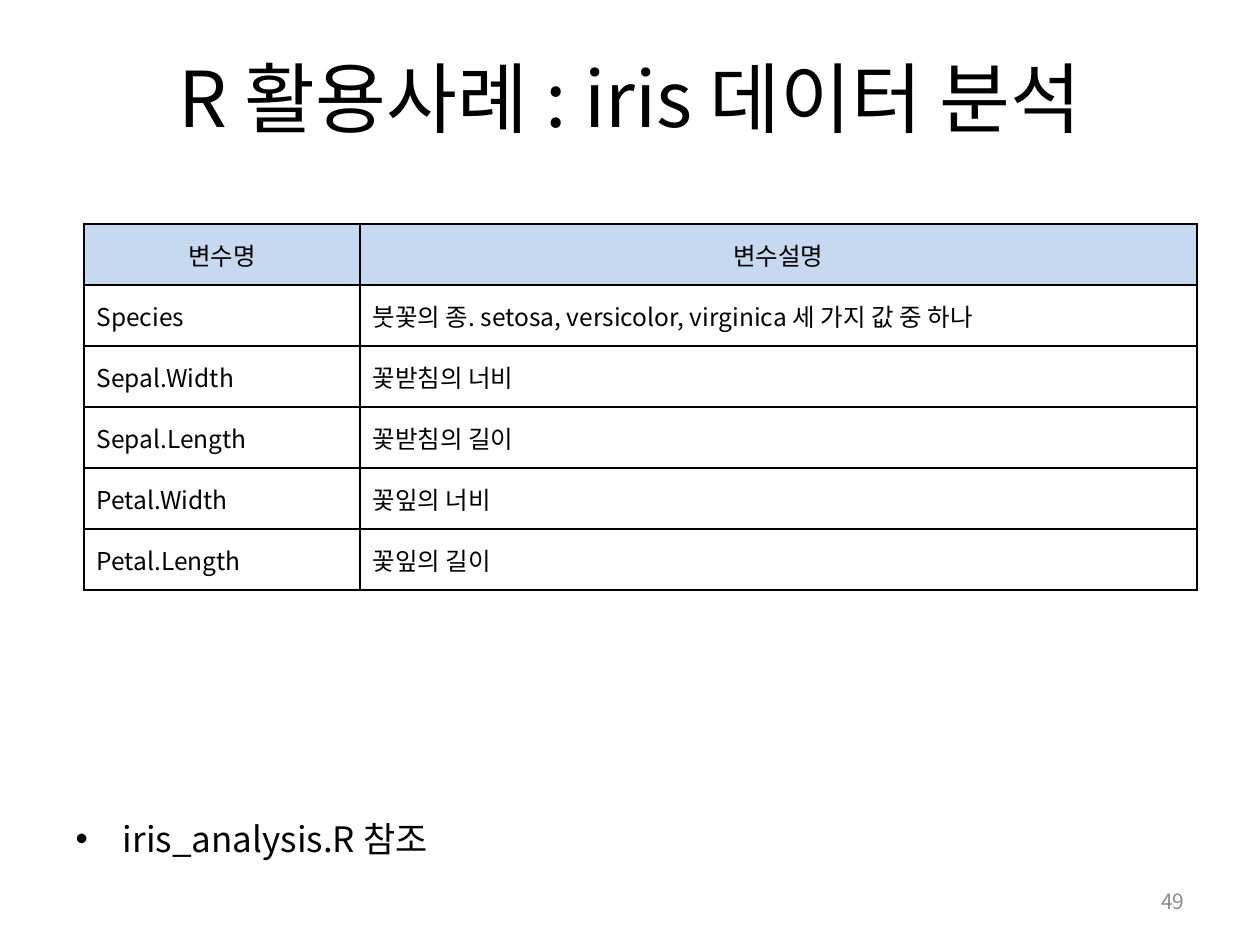
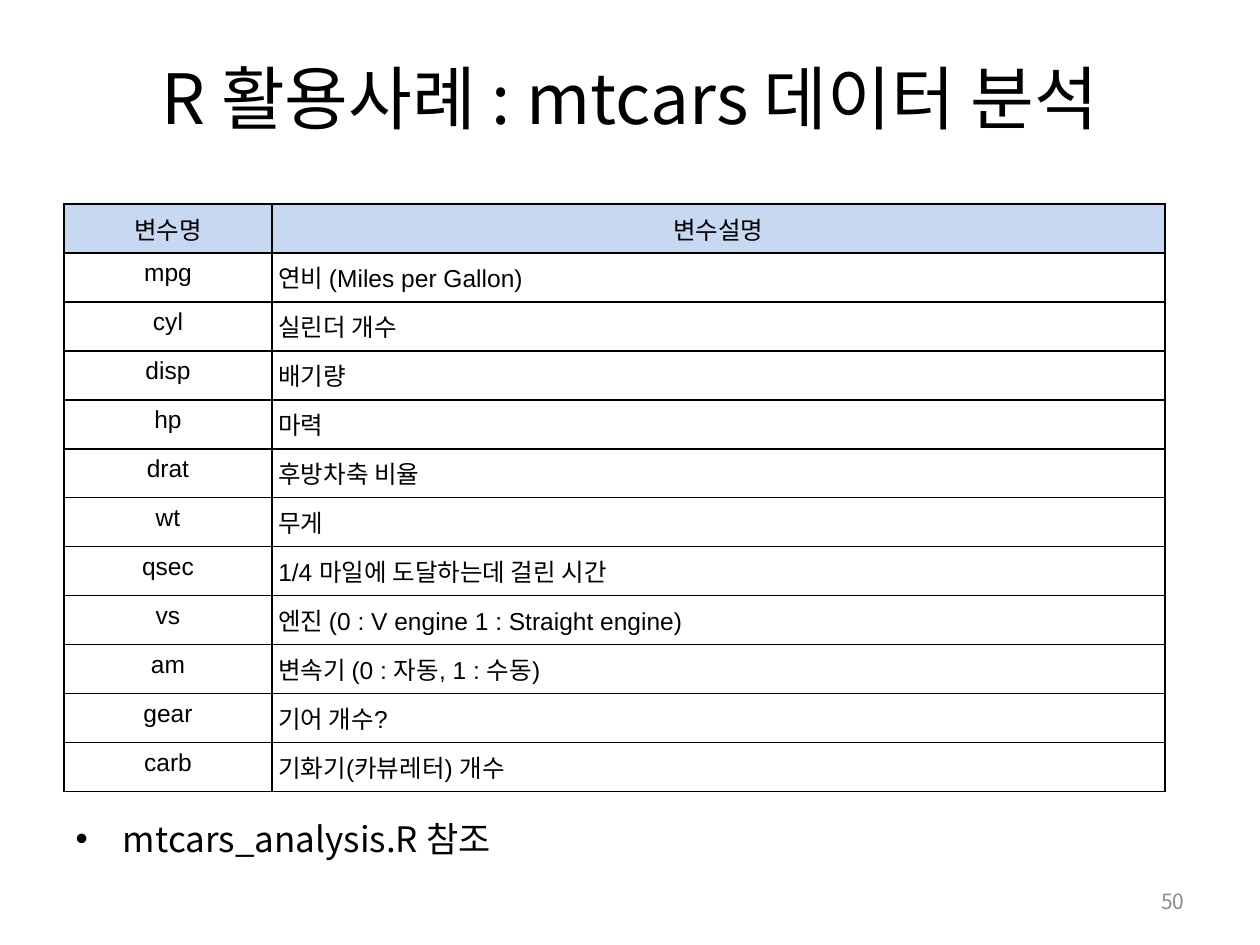
from lxml import etree
from pptx import Presentation
from pptx import util as u
from pptx.dml.color import RGBColor
from pptx.enum import text as t
from pptx.oxml.ns import qn

PX = 914400 / 126
BLACK = RGBColor(0x00, 0x00, 0x00)
GRAY = RGBColor(0x8C, 0x8C, 0x8C)
BLUE = RGBColor(0xC6, 0xD9, 0xF1)
SANS = "Noto Sans CJK KR"
LEFT, MID, RIGHT, JUST = (t.PP_ALIGN.LEFT, t.PP_ALIGN.CENTER,
                          t.PP_ALIGN.RIGHT, t.PP_ALIGN.JUSTIFY)
TOP, CENTER, BOTTOM = (t.MSO_ANCHOR.TOP, t.MSO_ANCHOR.MIDDLE,
                       t.MSO_ANCHOR.BOTTOM)

TITLE_BOX = (63, 38, 1134, 117)
NOTE_BOX = (63, 790, 1134, 69)
PAGE_BOX = (903, 876, 294, 50)

HEAD = ("변수명", "변수설명")
IRIS = [
    ("Species", "붓꽃의 종. setosa, versicolor, virginica 세 가지 값 중 하나"),
    ("Sepal.Width", "꽃받침의 너비"),
    ("Sepal.Length", "꽃받침의 길이"),
    ("Petal.Width", "꽃잎의 너비"),
    ("Petal.Length", "꽃잎의 길이"),
]
CARS = [
    ("mpg", "연비 (Miles per Gallon)"),
    ("cyl", "실린더 개수"),
    ("disp", "배기량"),
    ("hp", "마력"),
    ("drat", "후방차축 비율"),
    ("wt", "무게"),
    ("qsec", "1/4 마일에 도달하는데 걸린 시간"),
    ("vs", "엔진 (0 : V engine 1 : Straight engine)"),
    ("am", "변속기 (0 : 자동, 1 : 수동)"),
    ("gear", "기어 개수?"),
    ("carb", "기화기(카뷰레터) 개수"),
]


def px(n):
    return u.Emu(round(n * PX))


def place(shape, box):
    shape.left, shape.top, shape.width, shape.height = map(px, box)


def write(frame, words, size, align, font=SANS, color=BLACK):
    """Set one paragraph, with Korean glyphs always in the sans font."""
    frame.text = words
    para = frame.paragraphs[0]
    para.alignment = align
    for run in para.runs:
        run.font.size = u.Pt(size)
        run.font.name = font
        run.font.color.rgb = color
        east = etree.SubElement(run.font._element, qn("a:ea"))
        east.set("typeface", SANS)
    return para


def rule(cell):
    """Draw a thin black line on all four sides of a cell."""
    props = cell._tc.get_or_add_tcPr()
    for side in ("lnL", "lnR", "lnT", "lnB"):
        line = etree.SubElement(props, qn("a:" + side), w=str(u.Pt(1)))
        fill = etree.SubElement(line, qn("a:solidFill"))
        etree.SubElement(fill, qn("a:srgbClr"), val=str(BLACK))


def add_title(slide, words, size):
    shape = slide.shapes.title
    place(shape, TITLE_BOX)
    shape.text_frame.vertical_anchor = CENTER
    write(shape.text_frame, words, size, MID)


def add_note(slide, words):
    shape = slide.placeholders[1]
    place(shape, NOTE_BOX)
    shape.text_frame.auto_size = t.MSO_AUTO_SIZE.NONE
    para = write(shape.text_frame, words, 20, LEFT)
    para.line_spacing = 1.5


def add_page(slide, number):
    frame = slide.shapes.add_textbox(*map(px, PAGE_BOX)).text_frame
    frame.word_wrap = True
    frame.vertical_anchor = CENTER
    write(frame, str(number), 12, RIGHT, color=GRAY)


def add_grid(slide, spot, cols, step, rows, font, head, body, aligns, pad):
    """Place a table at spot; head and body are the anchors of its rows."""
    lines = [HEAD] + rows
    size = (sum(cols), step * len(lines))
    grid = slide.shapes.add_table(len(lines), len(cols),
                                  *map(px, spot + size)).table
    grid.first_row = grid.horz_banding = False
    for col, width in zip(grid.columns, cols):
        col.width = px(width)
    for r, line in enumerate(lines):
        grid.rows[r].height = px(step)
        for c, words in enumerate(line):
            cell = grid.cell(r, c)
            rule(cell)
            top = r == 0
            if top:
                cell.fill.solid()
                cell.fill.fore_color.rgb = BLUE
            else:
                cell.fill.background()
            cell.vertical_anchor = head if top else body
            cell.margin_left = cell.margin_right = u.Inches(0.05 if top else pad)
            cell.margin_top = cell.margin_bottom = u.Inches(0.05)
            write(cell.text_frame, words, 14, MID if top else aligns[c], font)


def add_case(deck, title, size, note, page, **grid):
    slide = deck.slides.add_slide(deck.slide_layouts[1])
    add_title(slide, title, size)
    add_grid(slide, **grid)
    add_note(slide, note)
    add_page(slide, page)


def main():
    deck = Presentation()
    deck.slide_width, deck.slide_height = px(1260), px(945)
    add_case(deck, "R 활용사례 : iris 데이터 분석", 44,
             "iris_analysis.R 참조", 49,
             spot=(84, 224), cols=(276, 837), step=61, rows=IRIS, font=SANS,
             head=CENTER, body=CENTER, aligns=(JUST, JUST), pad=0.1)
    add_case(deck, "R 활용사례 : mtcars 데이터 분석", 39.6,
             "mtcars_analysis.R 참조", 50,
             spot=(64, 204), cols=(208, 893), step=49, rows=CARS, font="Arial",
             head=BOTTOM, body=TOP, aligns=(MID, LEFT), pad=0.05)
    deck.save("out.pptx")


if __name__ == "__main__":
    main()
